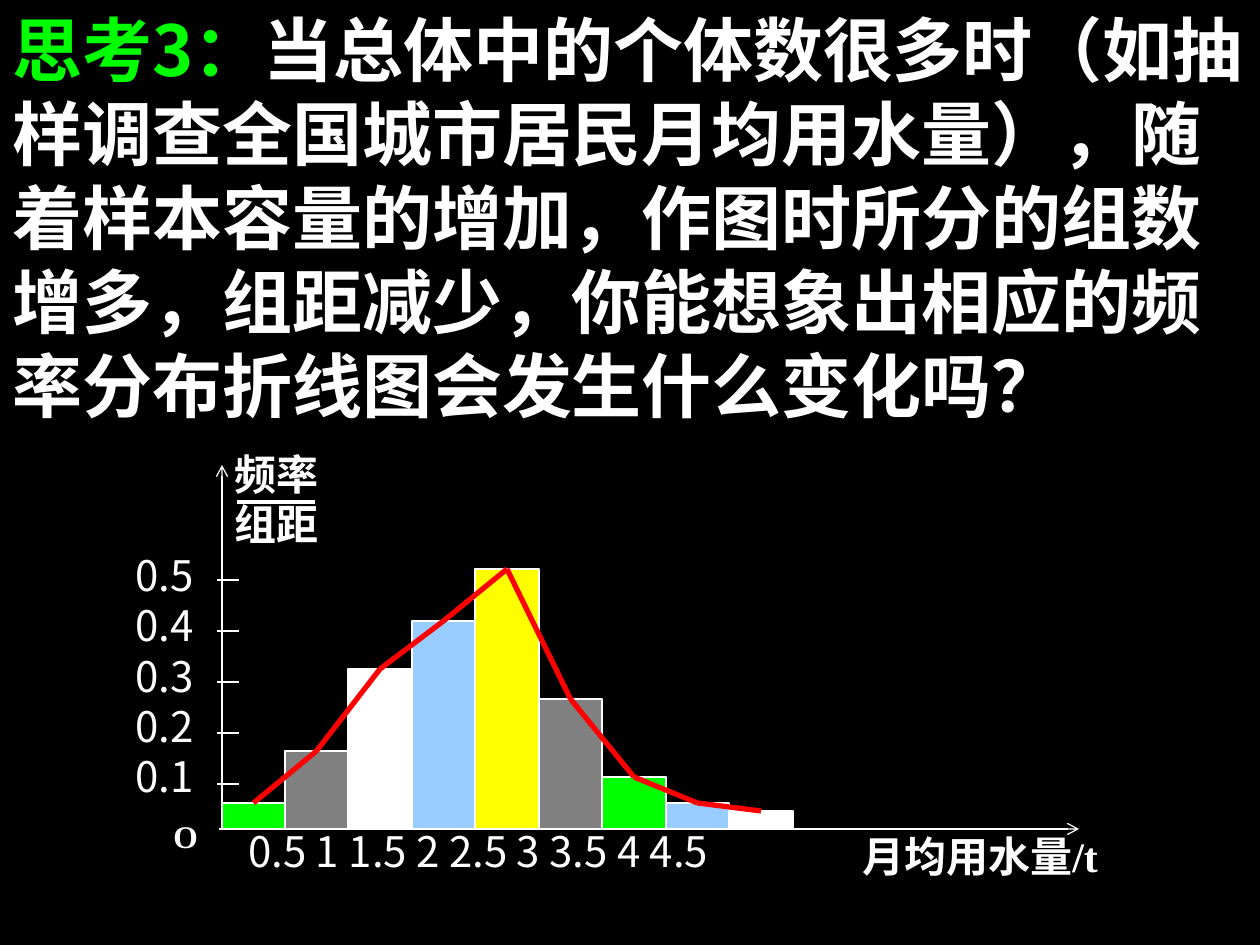
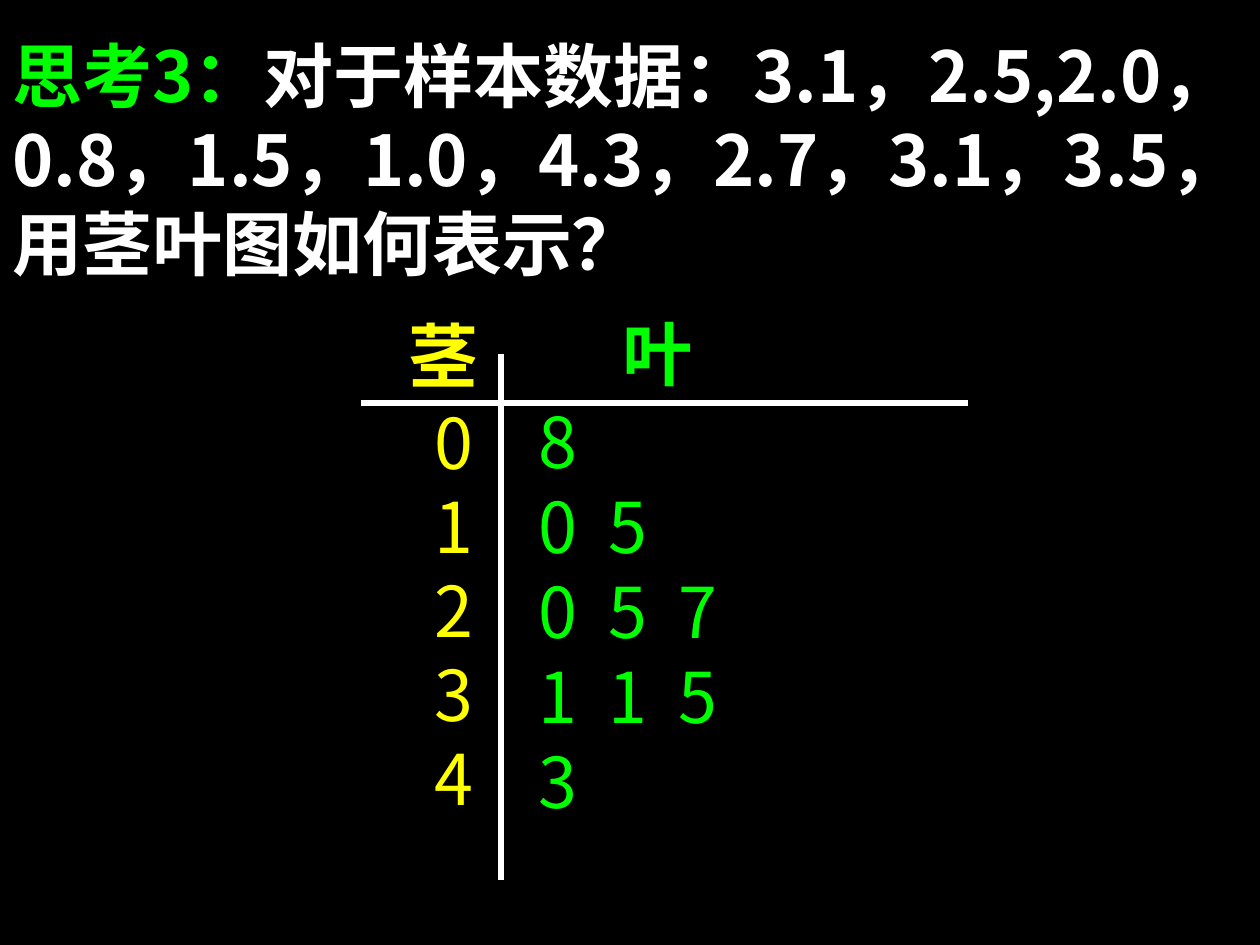
import itertools

import lxml.etree
import pptx
import pptx.dml.color
import pptx.enum.dml
import pptx.enum.lang
import pptx.enum.shapes
import pptx.enum.text
import pptx.oxml.ns
import pptx.util

PX_PER_INCH = 126
WHITE, BLACK, GREEN, YELLOW = "FFFFFF", "000000", "00FF00", "FFFF00"
RED, BLUE, GRAY = "FF0000", "99CCFF", "808080"
SANS, SERIF = "Noto Sans CJK SC", "Times New Roman"
QUESTION = {"size": 40, "bold": True, "name": SANS}
DIGITS = {"size": 40, "bold": False, "name": SANS}
HEADING = {"size": 40, "bold": True, "name": "Arial"}
SCALE = {"size": 24, "bold": False, "name": SANS}
CAPTION = {"size": 24, "bold": True, "name": SERIF}
ORIGIN = {"size": 18, "bold": True, "name": SERIF}


def px(*lengths):
    return [pptx.util.Inches(length / PX_PER_INCH) for length in lengths]


def rgb(color):
    return pptx.dml.color.RGBColor.from_string(color)


def sub_element(parent, tag, **attributes):
    return lxml.etree.SubElement(parent, pptx.oxml.ns.qn(tag), **attributes)


def add_run(paragraph, words, style, color):
    run = paragraph.add_run()
    run.text = words
    values = {**style, "size": pptx.util.Pt(style["size"]),
              "language_id": pptx.enum.lang.MSO_LANGUAGE_ID.SIMPLIFIED_CHINESE}
    for key, value in values.items():
        setattr(run.font, key, value)
    run.font.color.rgb = rgb(color)
    latin = run.font._element.find(pptx.oxml.ns.qn("a:latin"))
    east_asian = sub_element(run.font._element, "a:ea", typeface=SANS)
    latin.addnext(east_asian)


def add_label(slide, box, lines, style, color=WHITE, tab_stops=()):
    frame = slide.shapes.add_textbox(*px(*box)).text_frame
    frame.word_wrap = True
    for number, line in enumerate(lines):
        paragraph = frame.add_paragraph() if number else frame.paragraphs[0]
        if tab_stops:
            tabs = sub_element(paragraph._p.get_or_add_pPr(), "a:tabLst")
            for stop in px(*tab_stops):
                sub_element(tabs, "a:tab", pos=str(int(stop)), algn="l")
        add_run(paragraph, line, style, color)


def add_line(slide, start, end, width, color=WHITE, arrow=False):
    line = slide.shapes.add_connector(
        pptx.enum.shapes.MSO_CONNECTOR.STRAIGHT, *px(*start, *end))
    line.line.color.rgb = rgb(color)
    line.line.width = pptx.util.Pt(width)
    if arrow:
        sub_element(line.line._get_or_add_ln(), "a:tailEnd", type="arrow")
    sub_element(line._element.spPr, "a:effectLst")
    return line


def add_bar(slide, box, color):
    bar = slide.shapes.add_shape(
        pptx.enum.shapes.MSO_SHAPE.RECTANGLE, *px(*box))
    bar.shadow.inherit = False
    bar.fill.solid()
    bar.fill.fore_color.rgb = rgb(color)
    bar.line.color.rgb = rgb(WHITE)
    bar.line.width = pptx.util.Pt(0.75)
    return bar


def add_question(slide, box, wording):
    title = slide.shapes.title
    for side, length in zip(("left", "top", "width", "height"), px(*box)):
        setattr(title, side, length)
    frame_format = {
        "word_wrap": True,
        "auto_size": pptx.enum.text.MSO_AUTO_SIZE.NONE,
        "vertical_anchor": pptx.enum.text.MSO_ANCHOR.TOP,
    }
    for key, value in frame_format.items():
        setattr(title.text_frame, key, value)
    paragraph = title.text_frame.paragraphs[0]
    paragraph.alignment = pptx.enum.text.PP_ALIGN.LEFT
    add_run(paragraph, "思考3：", QUESTION, GREEN)
    add_run(paragraph, wording, QUESTION, WHITE)


def add_histogram(slide, box):
    left, top, width, height = box
    axis_x, base_y = left + 99, top + 387

    add_label(slide, (left + 727, top + 382, 290, 78), ["月均用水量/t"], CAPTION)
    add_label(slide, (axis_x, top, 127, 130), ["频率", "组距"], CAPTION)
    add_label(slide, (left, top + 101, 127, 286),
              ["0.5", "0.4", "0.3", "0.2", "0.1"], SCALE)
    add_label(slide, (left + 113, top + 377, 682, 78),
              ["0.5 1 1.5 2 2.5 3 3.5 4 4.5"], SCALE)
    add_label(slide, (left + 38, top + 369, 63, 78), ["O"], ORIGIN)

    add_line(slide, (axis_x - 3, base_y), (left + 956, base_y), 0.75, arrow=True)
    add_line(slide, (axis_x, base_y), (axis_x, top + 23), 0.75, arrow=True)
    add_line(slide, (left + 114, top + 60), (left + 192, top + 60), 2.25)
    for tick in range(5):
        tick_y = top + 138 + 51 * tick
        add_line(slide, (axis_x - 5, tick_y), (axis_x + 17, tick_y), 0.75)

    frequencies = [(26, GREEN), (78, GRAY), (160, WHITE), (208, BLUE),
                   (260, YELLOW), (130, GRAY), (52, GREEN), (26, BLUE),
                   (18, WHITE)]
    edges = [axis_x + 571 * i // 9 for i in range(10)]
    bars = [
        add_bar(slide, (start, base_y - tall, end - start, tall), color)
        for (start, end), (tall, color)
        in zip(itertools.pairwise(edges), frequencies)
    ]
    for bar, next_bar in itertools.pairwise(bars):
        segment = add_line(slide, (left, top), (left, top), 3, RED)
        segment.begin_connect(bar, 0)
        segment.end_connect(next_bar, 0)


def add_stem_and_leaf(slide, box):
    left, top, width, height = box
    leaves_by_stem = {"0": "8", "1": "05", "2": "057", "3": "115", "4": "3"}

    add_label(slide, (left + 61, top + 89, 90, 433), leaves_by_stem, DIGITS, YELLOW)
    for row, leaves in enumerate(leaves_by_stem.values()):
        add_label(slide, (left + 165, top + 88 + 85 * row, 300, 97),
                  ["\t".join(leaves)], DIGITS, GREEN, (70, 140))
    add_line(slide, (left + 140, top + 50), (left + 140, top + height), 3)
    add_line(slide, (left, top + 99), (left + width, top + 99), 3)
    add_label(slide, (left + 35, top + 2, 110, 97), ["茎"], HEADING, YELLOW)
    add_label(slide, (left + 249, top, 110, 97), ["叶"], HEADING, GREEN)


def main():
    deck = pptx.Presentation()
    deck.slide_width, deck.slide_height = px(1260, 945)
    background = deck.slide_master.background.fill
    background.solid()
    background.fore_color.rgb = rgb(BLACK)
    title_only = deck.slide_layouts[5]

    polygon_slide = deck.slides.add_slide(title_only)
    add_question(
        polygon_slide, (0, 0, 1260, 433),
        "当总体中的个体数很多时（如抽样调查全国城市居民月均用水量），"
        "随着样本容量的增加，作图时所分的组数增多，组距减少，"
        "你能想象出相应的频率分布折线图会发生什么变化吗？")
    add_histogram(polygon_slide, (123, 442, 1017, 460))

    stem_slide = deck.slides.add_slide(title_only)
    add_question(
        stem_slide, (0, 26, 1260, 265),
        "对于样本数据：3.1，2.5,2.0，0.8，1.5，1.0，4.3，2.7，3.1，3.5，"
        "用茎叶图如何表示？")
    add_stem_and_leaf(stem_slide, (361, 304, 607, 576))

    deck.save("out.pptx")


if __name__ == "__main__":
    main()
